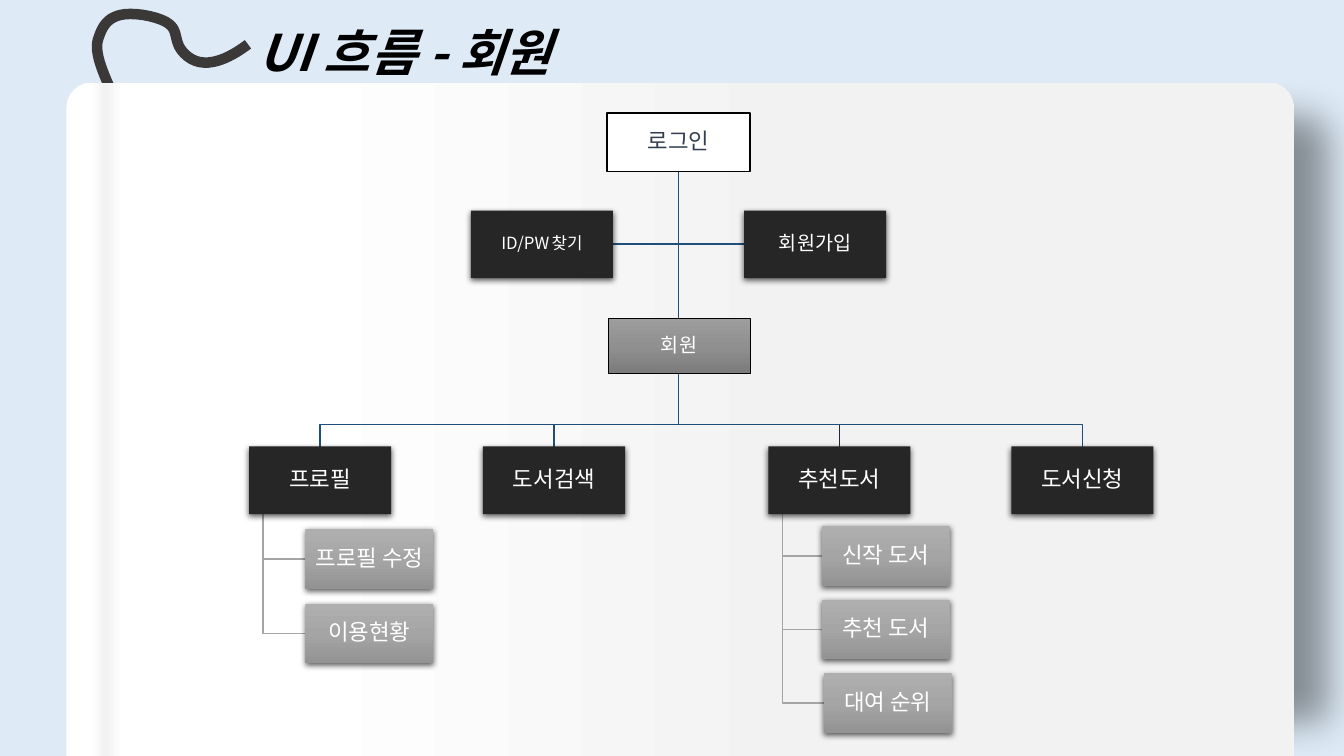
from dataclasses import dataclass

from lxml import etree
from pptx import Presentation
from pptx.dml.color import RGBColor
from pptx.enum.shapes import MSO_SHAPE
from pptx.enum.text import MSO_ANCHOR, MSO_AUTO_SIZE, PP_ALIGN
from pptx.oxml import parse_xml
from pptx.oxml.ns import nsdecls, qn
from pptx.util import Inches, Pt

RECT = MSO_SHAPE.RECTANGLE
PANEL = MSO_SHAPE.ROUND_2_SAME_RECTANGLE
SPINE = MSO_SHAPE.ROUND_1_RECTANGLE
CENTER, LEFT = PP_ALIGN.CENTER, PP_ALIGN.LEFT
MIDDLE, TOP = MSO_ANCHOR.MIDDLE, MSO_ANCHOR.TOP
FIT_SHAPE = MSO_AUTO_SIZE.SHAPE_TO_FIT_TEXT
FONT = "Noto Sans CJK KR"
NAVY, SLATE, GRAY = "1F4E79", "222A35", "A5A5A5"

Point = tuple[float, float]
Stops = tuple[tuple[int, str], ...]


@dataclass(frozen=True)
class Shadow:
    """Outer shadow: opacity and scale in percent, lengths in points."""
    alpha: int
    blur: float
    dist: float
    angle: int
    scale: int = 100


@dataclass(frozen=True)
class Style:
    """Look of a box: a hex fill or gradient stops, text, line and shadow."""
    fill: str | Stops
    color: str = "FFFFFF"
    line: float = 0
    shadow: Shadow | None = None
    angle: int = 90


@dataclass(frozen=True)
class Box:
    """One labelled box of the flow chart."""
    text: str
    x: float
    y: float
    w: float
    h: float
    style: Style
    size: int = 16


SOFT = Shadow(63, 4.5, 1.5, 90)
START = Style("FFFFFF", "333F50", 1)
MEMBER = Style(((0, "9D9D9D"), (50, "909090"), (100, "7C7C7C")), line=0.5)
DARK = Style("262626", shadow=SOFT)
LIGHT = Style(((0, "AFAFAF"), (50, "A5A5A5"), (100, "939393")), shadow=SOFT)
PAPER = Style(((18, "FFFFFF"), (60, "F2F2F2")), shadow=Shadow(40, 27, 69, 0, 90), angle=0)
FOLD = Style(((29, "FFFFFF"), (49, "F2F2F2"), (73, "FFFFFF")), angle=180)

ROOT_X, ROOT_Y, BUS_Y = 6.73, 1.71, 4.21
MENU_Y, MENU_W, MENU_H = 4.43, 1.41, 0.67
SUB_W, SUB_H = 1.27, 0.59
MENUS = [("프로필", 2.47, NAVY), ("도서검색", 4.79, NAVY),
         ("추천도서", 7.62, SLATE), ("도서신청", 10.03, NAVY)]
SUBS = [("프로필 수정", 2.61, 3.03, 5.25), ("이용현황", 2.61, 3.03, 5.99),
        ("신작 도서", 7.76, 8.15, 5.22), ("추천 도서", 7.76, 8.15, 5.95),
        ("대여 순위", 7.76, 8.17, 6.68)]
SIDES = [("ID/PW\t찾기", 4.67, 6.08, 12), ("회원가입", 7.38, 7.38, 14)]
CURVES = [((1.2, 1.12), (1.06, 0.8), (0.93, 0.56), (0.97, 0.4)),
          ((0.97, 0.4), (1.02, 0.24), (1.09, 0.08), (1.48, 0.16)),
          ((1.48, 0.16), (1.87, 0.25), (1.65, 0.39), (1.86, 0.56)),
          ((1.86, 0.56), (2.06, 0.72), (2.34, 0.53), (2.46, 0.44))]


def rgb(color: str) -> RGBColor:
    """Turn a hex string into a colour."""
    return RGBColor.from_string(color)


def add_gradient(sp, stops: Stops, angle: int) -> None:
    """Fill a shape with a linear gradient."""
    sp.fill.background()
    spPr = sp._element.spPr
    gs = "".join(f'<a:gs pos="{pos * 1000}"><a:srgbClr val="{color}"/></a:gs>' for pos, color in stops)
    spPr.replace(spPr.find(qn("a:noFill")), parse_xml(
        f'<a:gradFill {nsdecls("a")} rotWithShape="1"><a:gsLst>{gs}</a:gsLst>'
        f'<a:lin ang="{angle * 60000}" scaled="0"/></a:gradFill>'))


def add_shadow(sp, shadow: Shadow) -> None:
    """Give a shape an outer black shadow."""
    scale = str(shadow.scale * 1000)
    outer = etree.SubElement(
        sp._element.spPr.find(qn("a:effectLst")), qn("a:outerShdw"),
        blurRad=str(Pt(shadow.blur)), dist=str(Pt(shadow.dist)),
        dir=str(shadow.angle * 60000), sx=scale, sy=scale, algn="ctr", rotWithShape="0")
    color = etree.SubElement(outer, qn("a:srgbClr"), val="000000")
    etree.SubElement(color, qn("a:alpha"), val=str(shadow.alpha * 1000))


def add_shape(s, kind, x: float, y: float, w: float, h: float, style: Style):
    """Draw a styled preset shape."""
    sp = s.shapes.add_shape(kind, Inches(x), Inches(y), Inches(w), Inches(h))
    sp.shadow.inherit = False
    if isinstance(style.fill, str):
        sp.fill.solid()
        sp.fill.fore_color.rgb = rgb(style.fill)
    else:
        add_gradient(sp, style.fill, style.angle)
    if style.line:
        sp.line.color.rgb = rgb("000000")
        sp.line.width = Pt(style.line)
    else:
        sp.line.fill.background()
    if style.shadow:
        add_shadow(sp, style.shadow)
    return sp


def add_run(p, text: str, size: int, color: str):
    """Add a run in the slide font to a paragraph."""
    r = p.add_run()
    r.text = text
    r.font.size = Pt(size)
    r.font.name = FONT
    r.font.color.rgb = rgb(color)
    etree.SubElement(r._r.get_or_add_rPr(), qn("a:ea"), typeface=FONT)
    return r


def add_box(s, box: Box) -> None:
    """Draw a box with its centred label."""
    sp = add_shape(s, RECT, box.x, box.y, box.w, box.h, box.style)
    tf = sp.text_frame
    tf.word_wrap = True
    tf.vertical_anchor = MIDDLE
    tf.margin_left = tf.margin_right = tf.margin_top = tf.margin_bottom = Inches(0.01)
    p = tf.paragraphs[0]
    p.alignment = CENTER
    p.line_spacing = 0.9
    p.space_after = Pt(box.size * 0.35)
    add_run(p, box.text, box.size, box.style.color)


def add_path(s, points: list[Point], color: str, width: float = 1) -> None:
    """Draw an open outline through the points."""
    start, *rest = [(Inches(x), Inches(y)) for x, y in points]
    builder = s.shapes.build_freeform(*start)
    builder.add_line_segments(rest, close=False)
    sp = builder.convert_to_shape()
    sp.shadow.inherit = False
    sp.fill.background()
    sp.line.color.rgb = rgb(color)
    sp.line.width = Pt(width)


def bezier(a: Point, b: Point, c: Point, d: Point, steps: int = 16) -> list[Point]:
    """Return points along a cubic curve, without its start."""
    return [tuple((1 - t) ** 3 * i + 3 * t * (1 - t) ** 2 * j + 3 * t * t * (1 - t) * k + t ** 3 * m
                  for i, j, k, m in zip(a, b, c, d))
            for t in (n / steps for n in range(1, steps + 1))]


def add_title(s, text: str) -> None:
    """Place and format the slide title."""
    sp = s.shapes.title
    sp.left, sp.top, sp.width, sp.height = Inches(2.46), Inches(-0.14), Inches(3.8), Inches(1.01)
    tf = sp.text_frame
    tf.word_wrap = True
    tf.auto_size = FIT_SHAPE
    tf.vertical_anchor = TOP
    p = tf.paragraphs[0]
    p.alignment = LEFT
    p.line_spacing = 1.5
    r = add_run(p, text, 36, "000000")
    r.font.bold = r.font.italic = True


def add_paper(s) -> None:
    """Draw the ribbon and the notebook page."""
    add_path(s, [CURVES[0][0]] + [pt for curve in CURVES for pt in bezier(*curve)], "3B3838", 7.5)
    add_shape(s, PANEL, 0.66, 0.82, 12.17, 6.68, PAPER).adjustments[0] = 0.037
    fold = add_shape(s, SPINE, 0.69, 0.82, 0.72, 6.68, FOLD)
    fold.adjustments[0] = 0.301
    fold._element.spPr.find(qn("a:xfrm")).set("flipH", "1")


def add_flow(s) -> None:
    """Draw the links and then the boxes of the flow chart."""
    for _, _, end_x, _ in SIDES:
        add_path(s, [(ROOT_X, ROOT_Y), (ROOT_X, 2.42), (end_x, 2.42)], NAVY)
    for _, x, color in MENUS:
        mid = x + MENU_W / 2
        add_path(s, [(ROOT_X, ROOT_Y), (ROOT_X, BUS_Y), (mid, BUS_Y), (mid, MENU_Y)], color)
    for _, stem, x, y in SUBS:
        mid = y + SUB_H / 2
        add_path(s, [(stem, MENU_Y + MENU_H), (stem, mid), (x, mid)], GRAY)
    boxes = [Box("로그인", 6.02, 1.12, 1.42, 0.58, START), Box("회원", 6.03, 3.16, 1.41, 0.54, MEMBER, 14)]
    boxes += [Box(text, x, 2.09, MENU_W, MENU_H, DARK, size) for text, x, _, size in SIDES]
    boxes += [Box(text, x, MENU_Y, MENU_W, MENU_H, DARK) for text, x, _ in MENUS]
    boxes += [Box(text, x, y, SUB_W, SUB_H, LIGHT) for text, _, x, y in SUBS]
    for box in boxes:
        add_box(s, box)


def main() -> None:
    """Build and save the slide."""
    prs = Presentation()
    prs.slide_width, prs.slide_height = Inches(13.33), Inches(7.5)
    s = prs.slides.add_slide(prs.slide_layouts[5])
    s.background.fill.solid()
    s.background.fill.fore_color.rgb = rgb("DEEBF7")
    add_title(s, "UI 흐름 - 회원")
    add_paper(s)
    add_flow(s)
    prs.save("out.pptx")


if __name__ == "__main__":
    main()
